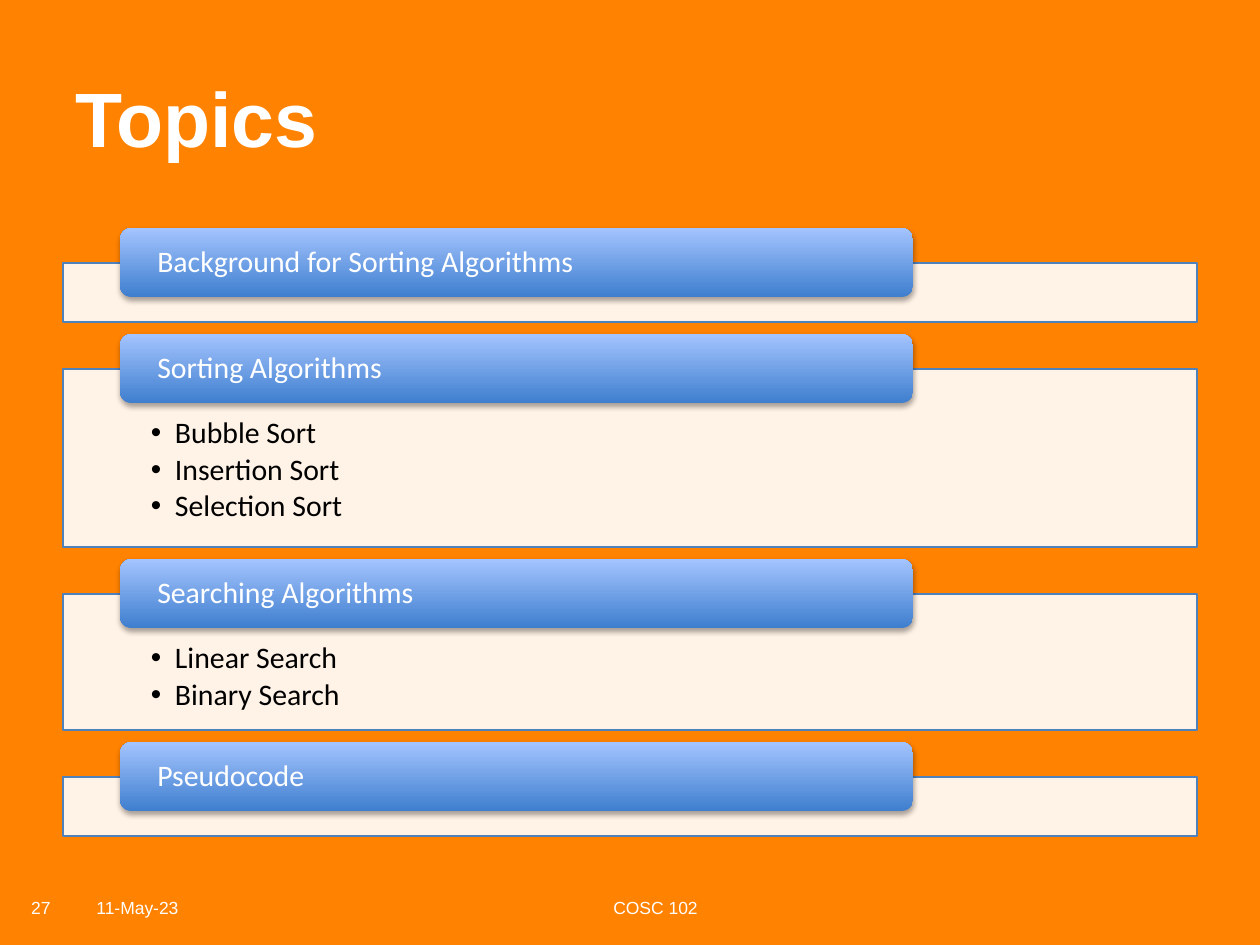
"""Build the Topics agenda slide with its four stacked sections."""
from dataclasses import dataclass

from lxml import etree
from pptx import Presentation
from pptx import util as u
from pptx.dml.color import RGBColor
from pptx.enum import shapes, text
from pptx.oxml.ns import qn

EMU_PER_PX = 914400 / 126
ORANGE = RGBColor(0xFF, 0x82, 0x00)
WHITE = RGBColor(0xFF, 0xFF, 0xFF)
BLACK = RGBColor(0, 0, 0)
OUTLINE = RGBColor(0x4F, 0x81, 0xBD)
BAR_DARK = RGBColor(0x3F, 0x7F, 0xCE)
BAR_LIGHT = RGBColor(0xA4, 0xC4, 0xFF)
LEFT, ANCHOR = text.PP_ALIGN.LEFT, text.MSO_ANCHOR
PANEL_TOP, PANEL_GAP, BAR_RISE = 263, 47, 35


@dataclass
class Label:
    wording: str
    left: int
    top: int
    width: int
    height: int
    size: int = 10
    align: text.PP_ALIGN = LEFT
    bold: bool = False


@dataclass
class Section:
    heading: str
    height: int
    items: tuple[str, ...] = ()


LABELS = [
    Label("Topics", 63, 38, 1134, 158, size=44, bold=True),
    Label("11-May-23", 84, 883, 180, 50),
    Label("COSC 102", 431, 883, 449, 50, align=text.PP_ALIGN.CENTER),
    Label("27", 11, 883, 52, 50, align=text.PP_ALIGN.RIGHT),
]
SECTIONS = [
    Section("Background for Sorting Algorithms", 59),
    Section("Sorting Algorithms", 178, ("Bubble Sort", "Insertion Sort", "Selection Sort")),
    Section("Searching Algorithms", 136, ("Linear Search", "Binary Search")),
    Section("Pseudocode", 59),
]


def px(n: int) -> u.Emu:
    """Convert pixels to EMU."""
    return u.Emu(round(n * EMU_PER_PX))


def write(sp, lines, size: int, font: str, color: RGBColor, align=LEFT, bold=False) -> None:
    """Put formatted lines into a shape."""
    tf = sp.text_frame
    tf.word_wrap = True
    tf.text = "\n".join(lines)
    for p in tf.paragraphs:
        p.alignment = align
        for r in p.runs:
            r.font.size, r.font.name, r.font.bold = u.Pt(size), font, bold
            r.font.color.rgb = color


def set_insets(sp, left: int, top: int, right: int, bottom: int) -> None:
    """Set the text margins of a shape."""
    tf = sp.text_frame
    tf.margin_left, tf.margin_top = px(left), px(top)
    tf.margin_right, tf.margin_bottom = px(right), px(bottom)


def add_label(s, label: Label) -> None:
    """Draw a title or footer text box."""
    sp = s.shapes.add_textbox(px(label.left), px(label.top), px(label.width), px(label.height))
    write(sp, [label.wording], label.size, "Arial", WHITE, label.align, label.bold)
    sp.text_frame.vertical_anchor = ANCHOR.MIDDLE


def add_panel(s, top: int, section: Section) -> None:
    """Draw the pale panel and its bulleted items."""
    sp = s.shapes.add_shape(shapes.MSO_SHAPE.RECTANGLE, px(63), px(top), px(1134), px(section.height))
    sp.shadow.inherit = False
    sp.fill.solid()
    sp.fill.fore_color.rgb = WHITE
    color = sp.fill._xPr.find(qn("a:solidFill"))[0]
    etree.SubElement(color, qn("a:alpha"), val="90000")
    sp.line.color.rgb, sp.line.width = OUTLINE, u.Pt(0.75)
    if not section.items:
        return
    write(sp, section.items, 17, "Calibri", BLACK)
    set_insets(sp, 88, 49, 88, 16)
    sp.text_frame.vertical_anchor = ANCHOR.TOP
    for p in sp.text_frame.paragraphs:
        p.line_spacing, p.space_after = 0.9, u.Pt(2.5)
        pPr = p._p.get_or_add_pPr()
        pPr.set("marL", str(px(24)))
        pPr.set("indent", str(-px(24)))
        etree.SubElement(pPr, qn("a:buFont"), typeface="Arial")
        etree.SubElement(pPr, qn("a:buChar"), char="•")


def add_bar(s, top: int, heading: str) -> None:
    """Draw the shaded heading bar with its drop shadow."""
    sp = s.shapes.add_shape(shapes.MSO_SHAPE.ROUNDED_RECTANGLE, px(120), px(top), px(793), px(69))
    sp.fill.gradient()
    sp.fill.gradient_angle = 90
    for stop, color in zip(sp.fill.gradient_stops, (BAR_DARK, BAR_LIGHT)):
        stop.color.rgb = color
    sp.line.fill.background()
    sp.shadow.inherit = False
    effects = sp._element.spPr.find(qn("a:effectLst"))
    shadow = etree.SubElement(effects, qn("a:outerShdw"), blurRad=str(u.Pt(3.1)),
                              dist=str(u.Pt(1.8)), dir="5400000", rotWithShape="0")
    color = etree.SubElement(shadow, qn("a:srgbClr"), val=str(BLACK))
    etree.SubElement(color, qn("a:alpha"), val="35000")
    write(sp, [heading], 17, "Calibri", WHITE)
    set_insets(sp, 34, 0, 34, 0)
    sp.text_frame.vertical_anchor = ANCHOR.MIDDLE
    sp.text_frame.paragraphs[0].line_spacing = 0.9


def main() -> None:
    """Assemble and save the slide."""
    prs = Presentation()
    prs.slide_width, prs.slide_height = px(1260), px(945)
    s = prs.slides.add_slide(prs.slide_layouts[6])
    s.background.fill.solid()
    s.background.fill.fore_color.rgb = ORANGE
    for label in LABELS:
        add_label(s, label)
    top = PANEL_TOP
    for section in SECTIONS:
        add_panel(s, top, section)
        add_bar(s, top - BAR_RISE, section.heading)
        top += section.height + PANEL_GAP
    prs.save("out.pptx")


if __name__ == "__main__":
    main()
